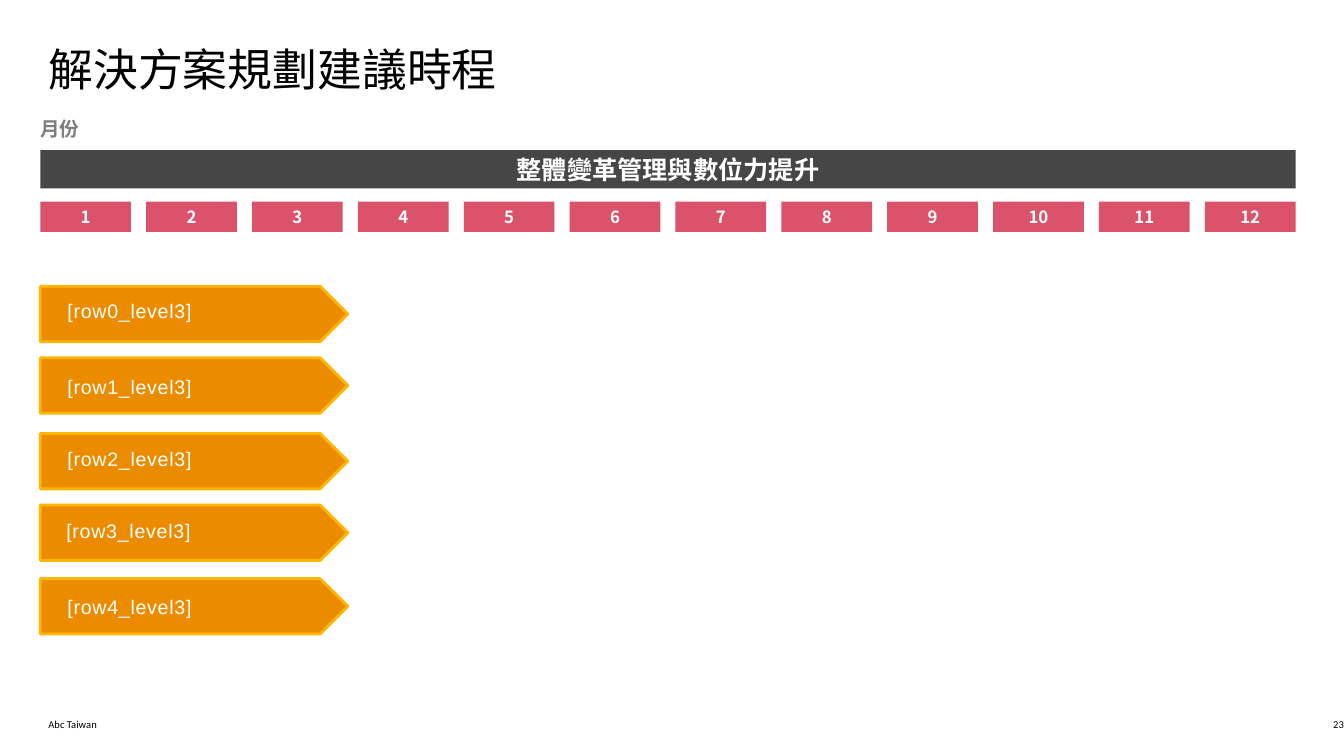
from lxml.etree import SubElement
from pptx import Presentation
from pptx.dml.color import RGBColor
from pptx.enum.shapes import MSO_SHAPE
from pptx.enum.text import MSO_ANCHOR, MSO_AUTO_SIZE, PP_ALIGN
from pptx.oxml.ns import qn
from pptx.util import Inches, Pt

COLORS = {
    "black": "000000",
    "white": "FFFFFF",
    "caption": "7D7D7D",
    "banner": "464646",
    "month": "DB536A",
    "arrow": "EB8C00",
    "arrow_edge": "FFB600",
}
CJK_FONT = "Noto Sans CJK SC"
LEFT = 0.4


class TimelineSlide:
    def __init__(self, presentation):
        self.slide = presentation.slides.add_slide(presentation.slide_layouts[5])

    def set_text(self, shape, text, size, color, font=CJK_FONT, bold=False,
                 align=PP_ALIGN.LEFT, anchor=MSO_ANCHOR.TOP, inset=0.0,
                 line_spacing=1.0, tracking=0):
        """Fill the shape with one styled line; tracking is in hundredths of a point."""
        frame = shape.text_frame
        frame.auto_size = MSO_AUTO_SIZE.NONE
        frame.word_wrap = True
        frame.vertical_anchor = anchor
        frame.margin_left = frame.margin_right = Inches(inset)
        frame.margin_top = frame.margin_bottom = Inches(inset / 2)
        paragraph = frame.paragraphs[0]
        paragraph.alignment = align
        paragraph.line_spacing = line_spacing
        run = paragraph.add_run()
        run.text = text
        run.font.size = Pt(size)
        run.font.bold = bold
        run.font.name = font
        run.font.color.rgb = RGBColor.from_string(COLORS[color])
        properties = run.font._element
        SubElement(properties, qn("a:ea")).set("typeface", CJK_FONT)
        if tracking:
            properties.set("spc", str(tracking))

    def title(self, text, box, **style):
        heading = self.slide.shapes.title
        heading.left, heading.top, heading.width, heading.height = map(Inches, box)
        self.set_text(heading, text, **style)

    def label(self, text, box, **style):
        self.set_text(self.slide.shapes.add_textbox(*map(Inches, box)), text, **style)

    def block(self, kind, box, fill, edge=None):
        block = self.slide.shapes.add_shape(kind, *map(Inches, box))
        block.shadow.inherit = False
        block.fill.solid()
        block.fill.fore_color.rgb = RGBColor.from_string(COLORS[fill])
        if edge:
            block.line.color.rgb = RGBColor.from_string(COLORS[edge])
            block.line.width = Pt(2)
        else:
            block.line.fill.background()
        return block

    def bar(self, text, box, fill, size):
        bar = self.block(MSO_SHAPE.RECTANGLE, box, fill)
        self.set_text(bar, text, size, "white", bold=True,
                      align=PP_ALIGN.CENTER, anchor=MSO_ANCHOR.MIDDLE)


def main():
    presentation = Presentation()
    presentation.slide_width = Inches(13.33)
    presentation.slide_height = Inches(7.5)
    timeline = TimelineSlide(presentation)

    timeline.title("解決方案規劃建議時程", (0.48, 0.47, 12.36, 1.52),
                   size=32, color="black", line_spacing=0.9)
    timeline.label("月份", (LEFT, 1.14, 4.18, 0.24), size=14, color="caption",
                   font="Calibri", bold=True, line_spacing=1.1)
    timeline.bar("整體變革管理與數位力提升", (LEFT, 1.49, 12.45, 0.38), "banner", 18)

    for month in range(12):
        timeline.bar(str(month + 1), (LEFT + 1.05 * month, 2, 0.9, 0.3), "month", 12)

    # Arrow top, then left and top of its label
    rows = [
        (2.84, 0.57, 2.83),
        (3.55, 0.57, 3.58),
        (4.3, 0.57, 4.3),
        (5.01, 0.56, 5.01),
        (5.74, 0.57, 5.76),
    ]
    for row, (arrow_top, label_left, label_top) in enumerate(rows):
        timeline.block(MSO_SHAPE.PENTAGON, (LEFT, arrow_top, 3.05, 0.55),
                       "arrow", "arrow_edge")
        timeline.label(f"[row{row}_level3]", (label_left, label_top, 2.2, 0.54),
                       size=14, color="white", font="Arial", inset=0.1,
                       anchor=MSO_ANCHOR.MIDDLE, line_spacing=0.9, tracking=50)

    footer = {"size": 7.5, "color": "black", "font": "Calibri",
              "anchor": MSO_ANCHOR.BOTTOM}
    timeline.label("Abc Taiwan", (0.48, 7.1, 5.99, 0.15), **footer)
    timeline.label("23", (11.4, 7.1, 1.93, 0.15), align=PP_ALIGN.RIGHT, **footer)

    presentation.save("out.pptx")


if __name__ == "__main__":
    main()
